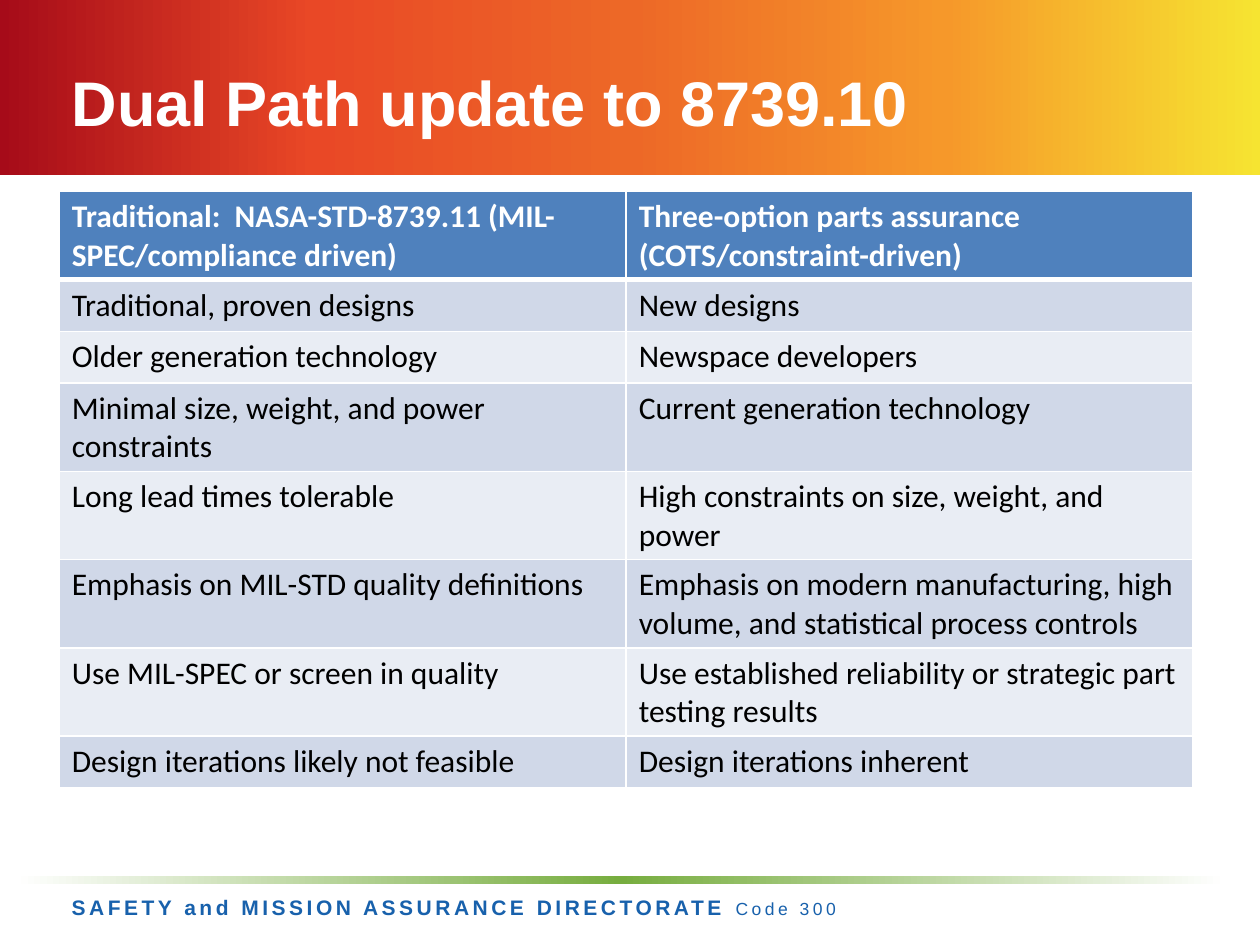
from lxml.etree import SubElement
from pptx import Presentation
from pptx.dml.color import RGBColor
from pptx.enum.shapes import MSO_SHAPE
from pptx.enum.text import MSO_ANCHOR, MSO_AUTO_SIZE, PP_ALIGN
from pptx.oxml import parse_xml
from pptx.oxml.ns import nsdecls, qn
from pptx.util import Inches, Pt

WHITE = RGBColor(0xFF, 0xFF, 0xFF)
BLACK = RGBColor(0x00, 0x00, 0x00)
FOOTER_BLUE = RGBColor(0x18, 0x61, 0xAC)
HEADER_BLUE = RGBColor(0x4F, 0x81, 0xBD)
BAND_DARK = RGBColor(0xD0, 0xD8, 0xE8)
BAND_LIGHT = RGBColor(0xE9, 0xED, 0xF4)
GREEN = RGBColor(0x77, 0xAD, 0x3F)
SUNSET = [RGBColor(0xA6, 0x0B, 0x19), RGBColor(0xE9, 0x48, 0x26), RGBColor(0xED, 0x68, 0x27),
          RGBColor(0xF6, 0x98, 0x2A), RGBColor(0xF6, 0xE4, 0x31)]

LEFT, WIDTH = Inches(0.47), Inches(9)
ONE_LINE, TWO_LINES = Inches(0.41), Inches(0.7)

ROWS = [
    ("Traditional:  NASA-STD-8739.11 (MIL-SPEC/compliance driven)",
     "Three-option parts assurance (COTS/constraint-driven)", TWO_LINES),
    ("Traditional, proven designs", "New designs", ONE_LINE),
    ("Older generation technology", "Newspace developers", ONE_LINE),
    ("Minimal size, weight, and power constraints", "Current generation technology", TWO_LINES),
    ("Long lead times tolerable", "High constraints on size, weight, and power", TWO_LINES),
    ("Emphasis on MIL-STD quality definitions",
     "Emphasis on modern manufacturing, high volume, and statistical process controls", TWO_LINES),
    ("Use MIL-SPEC or screen in quality",
     "Use established reliability or strategic part testing results", TWO_LINES),
    ("Design iterations likely not feasible", "Design iterations inherent", ONE_LINE),
]


def add_gradient_bar(s, left, top, width, height, colors):
    """Add a borderless bar whose evenly spaced colours run left to right."""
    sp = s.shapes.add_shape(MSO_SHAPE.RECTANGLE, left, top, width, height)
    sp.shadow.inherit = False
    sp.line.fill.background()
    sp.fill.gradient()
    sp.fill.gradient_angle = 0
    stops = sp.element.spPr.find(qn("a:gradFill")).find(qn("a:gsLst"))
    for stop in list(stops):
        stops.remove(stop)
    for i, color in enumerate(colors):
        stop = SubElement(stops, qn("a:gs"), pos=str(100000 * i // (len(colors) - 1)))
        SubElement(stop, qn("a:srgbClr"), val=str(color))


def set_font(r, color, **formats):
    r.font.color.rgb = color
    for name, value in formats.items():
        setattr(r.font, name, value)


prs = Presentation()
prs.slide_width, prs.slide_height = Inches(10), Inches(7.5)
s = prs.slides.add_slide(prs.slide_layouts[5])

# Title band and footer rule
add_gradient_bar(s, 0, 0, prs.slide_width, Inches(1.39), SUNSET)
add_gradient_bar(s, Inches(0.12), Inches(6.95), Inches(9.61), Inches(0.07), [WHITE, GREEN, WHITE])

# Footer
sp = s.shapes.add_textbox(LEFT, Inches(7.05), Inches(8.25), Inches(0.3))
tf = sp.text_frame
tf.word_wrap = True
for text, size, bold in [("SAFETY and MISSION ASSURANCE DIRECTORATE ", 12, True),
                         ("Code 300", 10, False)]:
    r = tf.paragraphs[0].add_run()
    r.text = text
    set_font(r, FOOTER_BLUE, name="Arial", size=Pt(size), bold=bold)
    r.font._element.set("spc", "200")

# Comparison table
frame = s.shapes.add_table(len(ROWS), 2, LEFT, Inches(1.52), WIDTH, sum(row[2] for row in ROWS))
table = frame.table
for i, (*texts, height) in enumerate(ROWS):
    table.rows[i].height = height
    header = i == 0
    for j, text in enumerate(texts):
        cell = table.cell(i, j)
        cell.fill.solid()
        cell.fill.fore_color.rgb = HEADER_BLUE if header else BAND_DARK if i % 2 else BAND_LIGHT
        r = cell.text_frame.paragraphs[0].add_run()
        r.text = text
        set_font(r, WHITE if header else BLACK, name="Calibri", size=Pt(18), bold=header)
        # The rule under the header is thicker than the others
        widths = {"L": 1, "R": 1, "T": 3 if i == 1 else 1, "B": 3 if header else 1}
        tcPr = cell._tc.get_or_add_tcPr()
        for k, (side, width) in enumerate(widths.items()):
            tcPr.insert(k, parse_xml(
                f'<a:ln{side} {nsdecls("a")} w="{Pt(width)}"><a:solidFill>'
                f'<a:srgbClr val="{WHITE}"/></a:solidFill></a:ln{side}>'))

# Title, brought in front of the band
title = s.shapes.title
title.left, title.top, title.width, title.height = LEFT, Inches(0.18), WIDTH, Inches(1.25)
tf = title.text_frame
for name, value in {"word_wrap": True, "auto_size": MSO_AUTO_SIZE.NONE,
                    "vertical_anchor": MSO_ANCHOR.MIDDLE}.items():
    setattr(tf, name, value)
p = tf.paragraphs[0]
p.alignment = PP_ALIGN.LEFT
r = p.add_run()
r.text = "Dual Path update to 8739.10"
set_font(r, WHITE, name="Arial", size=Pt(36), bold=True)
s.shapes.element.append(title.element)

prs.save("out.pptx")
